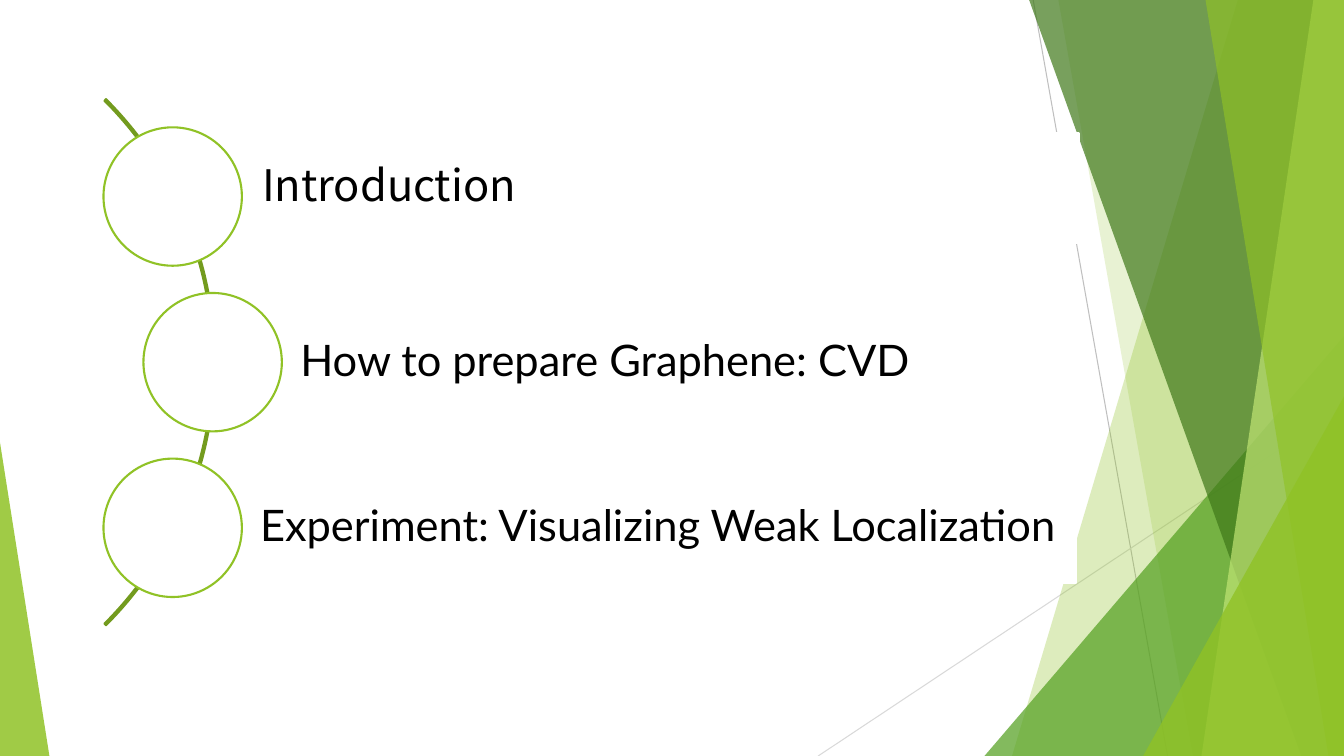
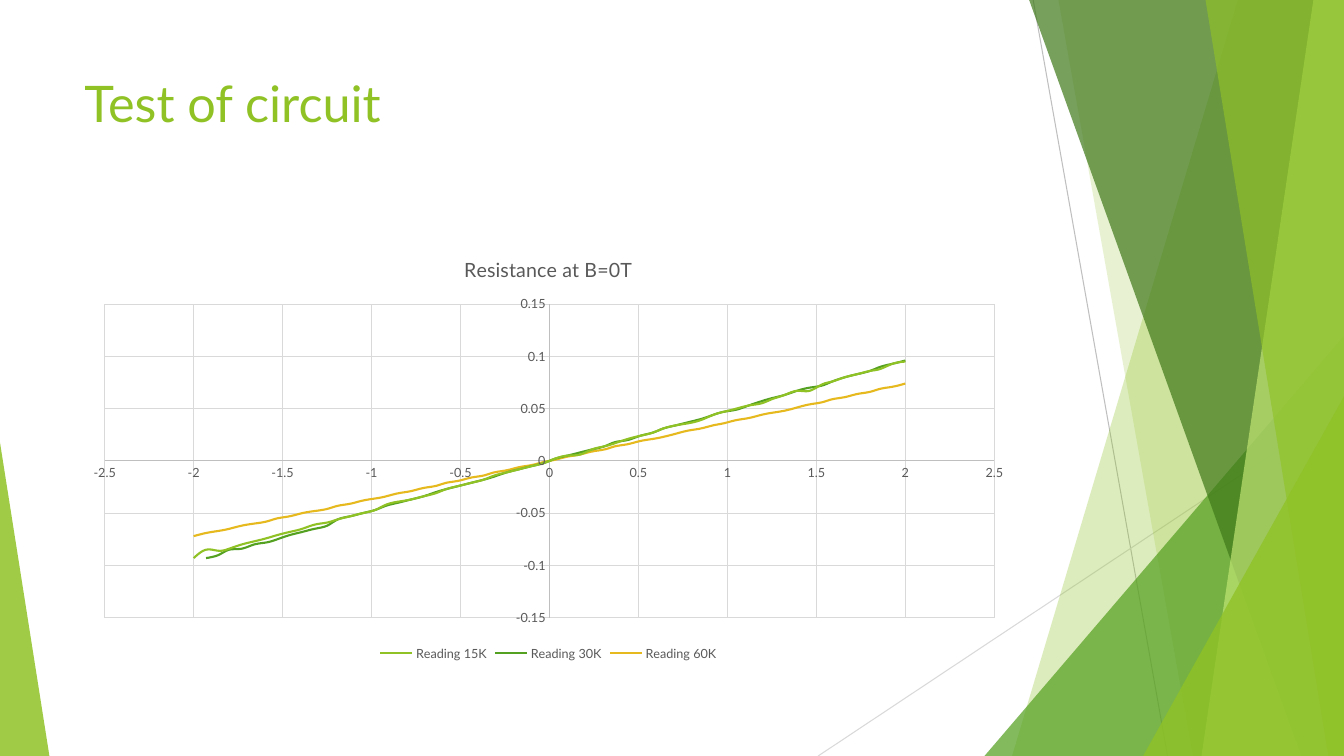
from lxml import etree
from pptx import Presentation
from pptx.chart.data import XyChartData
from pptx.dml.color import RGBColor
from pptx.enum.chart import XL_CHART_TYPE, XL_LEGEND_POSITION, XL_TICK_MARK
from pptx.enum.shapes import MSO_CONNECTOR, MSO_SHAPE
from pptx.enum.text import MSO_ANCHOR, PP_ALIGN
from pptx.oxml.ns import qn
from pptx.util import Emu, Inches, Pt

STRAIGHT = MSO_CONNECTOR.STRAIGHT
TRIANGLE = MSO_SHAPE.ISOSCELES_TRIANGLE
BLOCK_ARC = MSO_SHAPE.BLOCK_ARC
RECTANGLE = MSO_SHAPE.RECTANGLE
OVAL = MSO_SHAPE.OVAL
MIDDLE = MSO_ANCHOR.MIDDLE
LEFT = PP_ALIGN.LEFT
SMOOTH_LINES = XL_CHART_TYPE.XY_SCATTER_SMOOTH_NO_MARKERS
BOTTOM = XL_LEGEND_POSITION.BOTTOM
NO_TICK = XL_TICK_MARK.NONE

BLACK = RGBColor(0x00, 0x00, 0x00)
WHITE = RGBColor(0xFF, 0xFF, 0xFF)
LIME = RGBColor(0x90, 0xC2, 0x26)
GREEN = RGBColor(0x54, 0xA0, 0x21)
FOREST = RGBColor(0x3F, 0x78, 0x19)
PALE_LIME = RGBColor(0xC0, 0xE4, 0x74)
OLIVE = RGBColor(0x73, 0x9B, 0x1E)
AMBER = RGBColor(0xE6, 0xB9, 0x1E)
SILVER = RGBColor(0xBF, 0xBF, 0xBF)
LIGHT_GRAY = RGBColor(0xD9, 0xD9, 0xD9)
DARK_GRAY = RGBColor(0x59, 0x59, 0x59)

FONT = "Lato"
WIDE_FONT = "Noto Sans CJK SC"
COLUMNS, ROWS = 40, 22.5

deck = Presentation()
deck.slide_width = Inches(40 / 3)
deck.slide_height = Inches(7.5)
CELL = deck.slide_width / COLUMNS


def cells(*counts):
    return [Emu(round(count * CELL)) for count in counts]


def paint(shape, fill=None, opacity=100, line=None):
    shape.shadow.inherit = False
    if fill is None:
        shape.fill.background()
    else:
        shape.fill.solid()
        shape.fill.fore_color.rgb = fill
        if opacity < 100:
            color = shape.fill._xPr.find(qn("a:solidFill"))[0]
            etree.SubElement(color, qn("a:alpha"), val=str(opacity * 1000))
    if line is None:
        shape.line.fill.background()
    else:
        shape.line.color.rgb = line
        shape.line.width = Pt(1.5)


HAIRLINES = [
    (30.75, 0, 34.75, ROWS, SILVER),
    (COLUMNS, 12.1, 24.35, ROWS, LIGHT_GRAY),
]
FACETS = [
    (36.84, 30.12, 0, LIME, 30),
    (31.5, 35.5, 0, LIME, 20),
    (COLUMNS, 29.3, 10, GREEN, 72),
    (30.63, 38.73, 0, FOREST, 70),
    (39.09, 35.76, 0, PALE_LIME, 70),
    (35.88, 39.54, 0, LIME, 65),
    (COLUMNS, 34.02, 11.8, LIME, 80),
    (0, 1.47, 13.17, LIME, 85),
]

pages = [deck.slides.add_slide(deck.slide_layouts[6]) for _ in range(2)]
for page in pages:
    for *ends, color in HAIRLINES:
        hairline = page.shapes.add_connector(STRAIGHT, *cells(*ends))
        hairline.line.color.rgb = color
        hairline.line.width = Pt(0.75)
        etree.SubElement(hairline._element.spPr, qn("a:effectLst"))
    for tip, base, top, color, opacity in FACETS:
        if top == 0:
            outline = page.shapes.build_freeform(*cells(tip, 0))
            corners = [(COLUMNS, 0), (COLUMNS, ROWS), (base, ROWS)]
            outline.add_line_segments([cells(*corner) for corner in corners])
            facet = outline.convert_to_shape()
        else:
            frame = cells(min(tip, base), top, abs(tip - base), ROWS - top)
            facet = page.shapes.add_shape(TRIANGLE, *frame)
            facet.adjustments[0] = 1 if tip > base else 0
        paint(facet, color, opacity)

agenda, circuit = pages

arc = agenda.shapes.add_shape(BLOCK_ARC, *cells(-15.74, -0.29, 22.14, 22.14))
for index, value in enumerate((189, 27, 0.003)):
    arc.adjustments[index] = value
paint(arc, line=OLIVE)

TOPICS = [
    ("Introduction", WIDE_FONT, 5.19, 3.95, 26.91, 3.08),
    ("How to prepare Graphene: CVD", FONT, 6.33, 9.14, 25.71, 4.27),
    ("Experiment: Visualizing Weak Localization", FONT, 5.13, 14.06, 26.91, 3.08),
]
for row, (topic, font, left, top, width, circle_left) in enumerate(TOPICS):
    box = agenda.shapes.add_shape(RECTANGLE, *cells(left, top, width, 3.29))
    paint(box, WHITE, line=WHITE)
    frame = box.text_frame
    frame.word_wrap = True
    frame.vertical_anchor = MIDDLE
    frame.margin_left = Inches(0.87)
    frame.margin_right = frame.margin_top = frame.margin_bottom = Inches(0.09)
    para = frame.paragraphs[0]
    para.text = topic
    para.alignment = LEFT
    para.line_spacing = 0.9
    para.font.name = font
    para.font.size = Pt(31)
    para.font.color.rgb = BLACK
    circle = agenda.shapes.add_shape(OVAL, *cells(circle_left, 3.79 + 4.93 * row, 4.12, 4.12))
    paint(circle, WHITE, line=LIME)

title = circuit.shapes.add_textbox(*cells(2.22, 2, 28.2, 4.33))
title.text_frame.word_wrap = True
para = title.text_frame.paragraphs[0]
para.text = "Test of circuit"
para.font.name = FONT
para.font.size = Pt(36)
para.font.color.rgb = LIME

READINGS = [
    ("Reading 15K", LIME, [
        95, 93, 88, 86, 83, 80, 76, 73, 67, 67, 63, 59, 55, 53, 50, 47, 44, 39, 36, 34,
        31, 27, 24, 21, 17, 14, 11, 6, 5, 2, -2, -5, -8, -11, -14, -18, -21, -24, -27, -31,
        -34, -37, -39, -42, -47, -50, -53, -56, -59, -61, -65, -68, -71, -74, -77, -80,
        -84, -86, -85, -93]),
    ("Reading 30K", GREEN, [
        96, 93, 90, 86, 83, 80, 76, 72, 70, 67, 63, 60, 57, 53, 49, 47, 44, 40, 37, 34,
        31, 27, 24, 20, 18, 14, 11, 8, 5, 2, -2, -5, -8, -11, -15, -18, -21, -24, -27, -30,
        -34, -37, -40, -43, -47, -50, -53, -56, -62, -65, -68, -71, -75, -78, -80, -84,
        -85, -90, -93]),
    ("Reading 60K", AMBER, [
        74, 71, 69, 66, 64, 61, 59, 56, 54, 51, 48, 46, 44, 41, 39, 36, 34, 31, 29, 26,
        23, 21, 19, 16, 14, 11, 9, 6, 4, 1, -1, -4, -6, -9, -11, -14, -16, -19, -21, -24,
        -26, -29, -31, -34, -36, -38, -41, -43, -46, -48, -50, -53, -55, -58, -60, -62,
        -65, -67, -69, -72]),
]
data = XyChartData()
for name, _, thousandths in READINGS:
    series = data.add_series(name)
    for step, value in enumerate(thousandths):
        series.add_data_point(round(2 - 4 * step / 59, 2), value / 1000)

chart = circuit.shapes.add_chart(SMOOTH_LINES, *cells(2.22, 7.08, 28.2, 12.72), data).chart
chart.font.name = FONT
chart.font.size = Pt(9)
chart.font.color.rgb = DARK_GRAY
chart.has_title = True
chart.chart_title.include_in_layout = False
heading = chart.chart_title.text_frame.paragraphs[0]
heading.text = "Resistance at B=0T"
heading.font.name = FONT
heading.font.size = Pt(14)
heading.font.bold = False
heading.font.color.rgb = DARK_GRAY
chart.has_legend = True
chart.legend.position = BOTTOM
chart.legend.include_in_layout = False

for axis in (chart.category_axis, chart.value_axis):
    axis.major_tick_mark = axis.minor_tick_mark = NO_TICK
    axis.has_major_gridlines = True
    for line, color in ((axis.format.line, SILVER), (axis.major_gridlines.format.line, LIGHT_GRAY)):
        line.color.rgb = color
        line.width = Pt(0.75)

plot = chart.plots[0]
plot.vary_by_categories = False
for series, (_, color, _) in zip(plot.series, READINGS):
    series._element.find(qn("c:smooth")).set("val", "1")
    series.format.line.color.rgb = color
    series.format.line.width = Pt(1.5)

deck.save("out.pptx")
